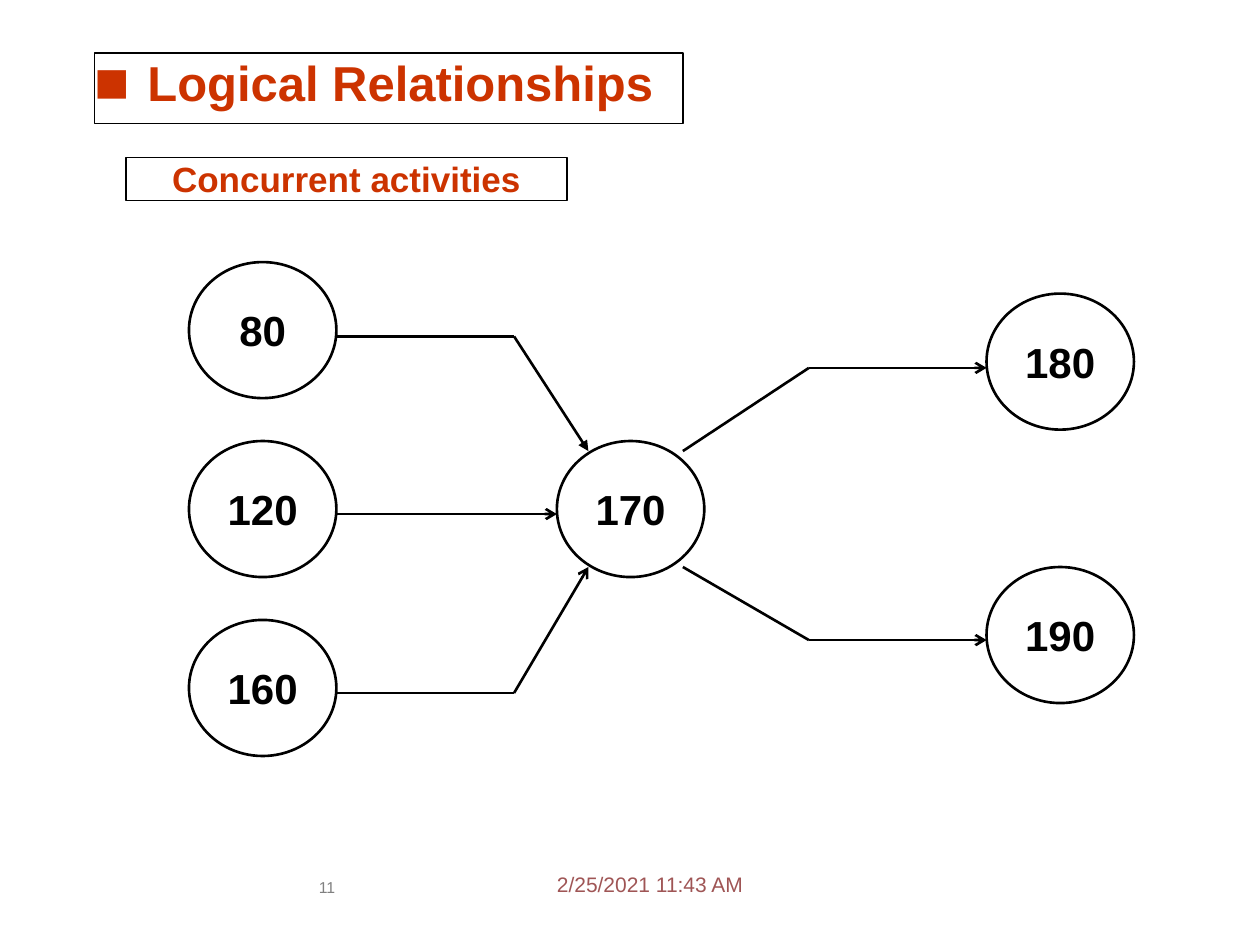
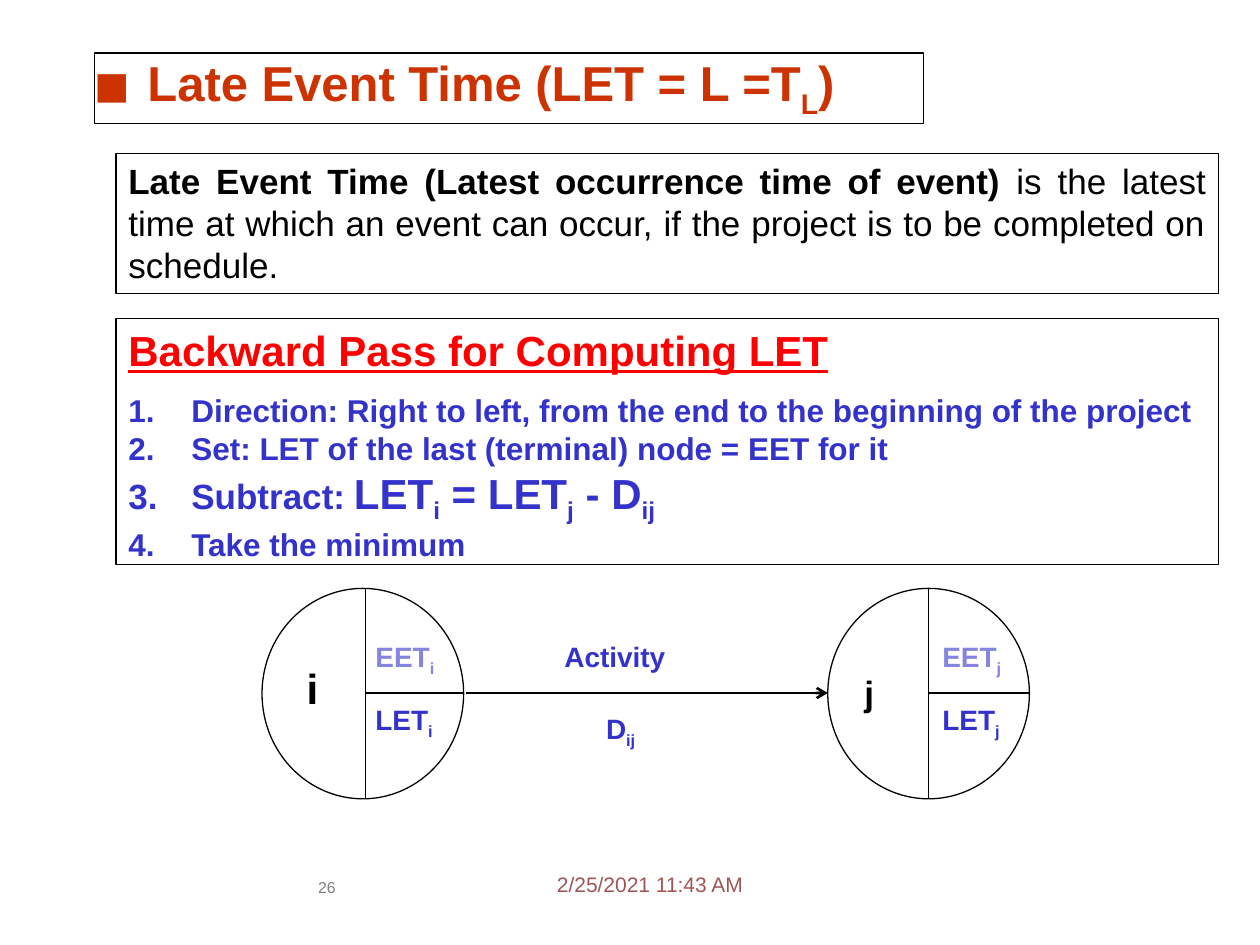
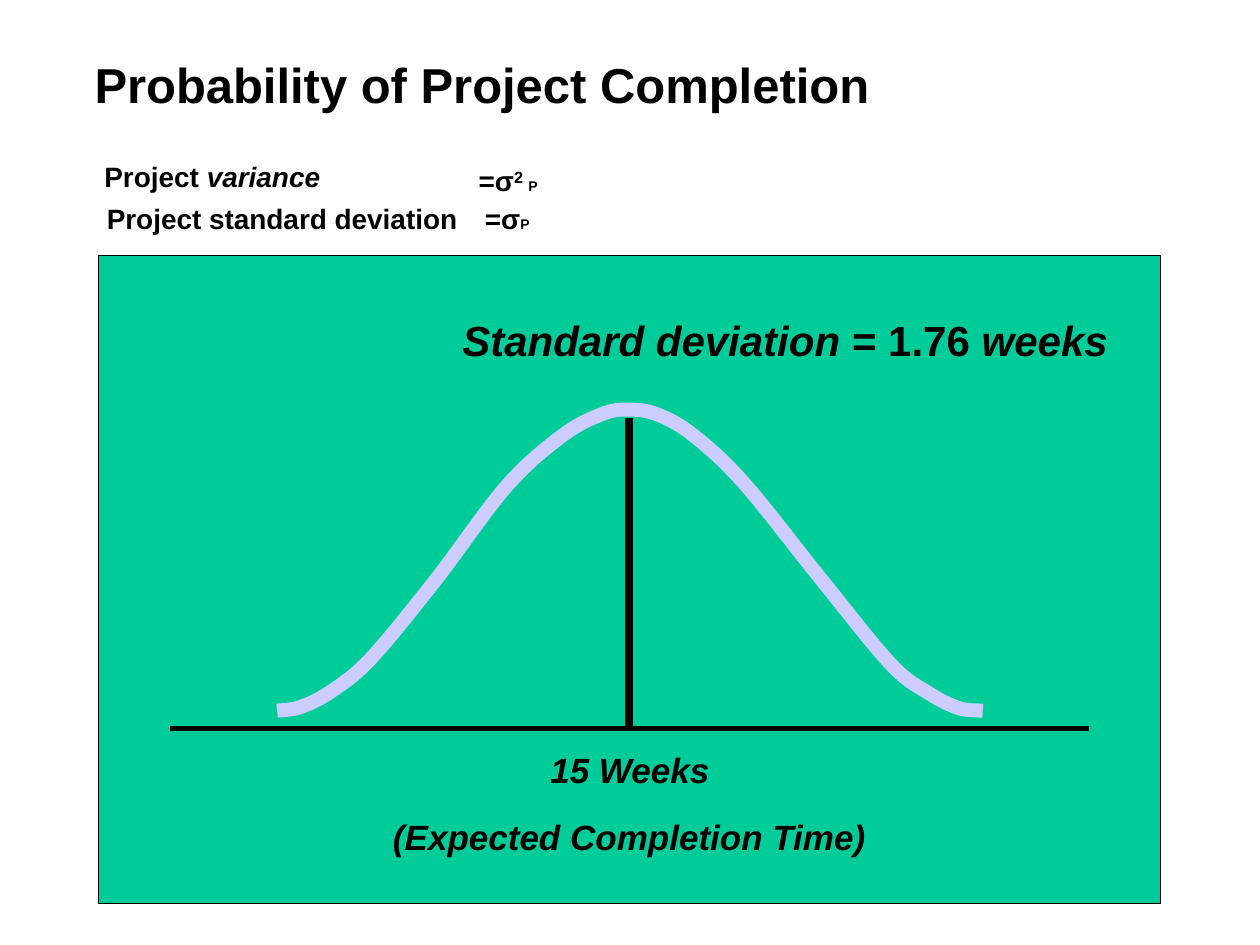
from lxml.etree import SubElement
from pptx import Presentation
from pptx.dml.color import RGBColor
from pptx.enum.shapes import MSO_CONNECTOR as Connector, MSO_SHAPE as Shape
from pptx.enum.text import MSO_ANCHOR as Anchor, MSO_AUTO_SIZE as AutoSize, PP_ALIGN as Align
from pptx.oxml.ns import qn
from pptx.util import Inches, Pt

BLACK = RGBColor(0x00, 0x00, 0x00)
WHITE = RGBColor(0xFF, 0xFF, 0xFF)
RUST = RGBColor(0xCC, 0x33, 0x00)
RED = RGBColor(0xFF, 0x00, 0x00)
BLUE = RGBColor(0x33, 0x33, 0xCC)
PALE_BLUE = RGBColor(0x85, 0x85, 0xE0)
GREEN = RGBColor(0x00, 0xCC, 0x99)
LAVENDER = RGBColor(0xCC, 0xCC, 0xFF)
DATE_RED = RGBColor(0x9F, 0x55, 0x55)
GREY = RGBColor(0x80, 0x80, 0x80)

FONT = "Arial"
TITLE_ONLY = 5
SUB = {"baseline": -25}
LABEL_FORMAT = {"space_before": Pt(2)}


# Text
def set_all(target, values):
    for name, value in values.items():
        setattr(target, name, value)


def write(paragraph, runs, size, color=BLACK, bold=True, layout=None, **font):
    """Fill a paragraph with (text, overrides) runs that share a base format."""
    set_all(paragraph, layout or {})
    for text, changes in runs:
        values = {"name": FONT, "size": size, "bold": bold, **font, **changes}
        baseline = values.pop("baseline", None)
        run = paragraph.add_run()
        run.text = text
        values["size"] = Pt(values["size"])
        set_all(run.font, values)
        run.font.color.rgb = color
        if baseline:
            run._r.get_or_add_rPr().set("baseline", str(baseline * 1000))


def set_frame(shape, inset=True, wrap=True, anchor=Anchor.TOP):
    frame = shape.text_frame
    set_all(frame, {"word_wrap": wrap, "vertical_anchor": anchor,
                    "auto_size": AutoSize.NONE})
    if not inset:
        set_all(frame, dict.fromkeys(
            ("margin_left", "margin_top", "margin_right", "margin_bottom"), 0))
    return frame


def add_bullet(paragraph, indent, children):
    properties = paragraph._p.get_or_add_pPr()
    properties.set("marL", str(Inches(indent)))
    properties.set("indent", str(-Inches(indent)))
    for tag, attribute, value in children:
        SubElement(properties, qn(tag)).set(attribute, value)


def add_note(slide, box, runs, size, align=Align.RIGHT, inset=True, wrap=False,
             layout=None, **font):
    note = slide.shapes.add_textbox(*map(Inches, box))
    paragraph = set_frame(note, inset, wrap).paragraphs[0]
    write(paragraph, runs, size, layout={"alignment": align, **(layout or {})}, **font)


# Shapes and lines
def add_block(slide, kind, box, fill=WHITE, line=0.75):
    block = slide.shapes.add_shape(kind, *map(Inches, box))
    block.shadow.inherit = False
    block.fill.solid()
    block.fill.fore_color.rgb = fill
    if line:
        block.line.color.rgb = BLACK
        block.line.width = Pt(line)
    else:
        block.line.fill.background()
    return block


def add_label(slide, box, runs, size, color=BLACK, align=Align.JUSTIFY, line=0):
    label = add_block(slide, Shape.RECTANGLE, box, line=line)
    write(set_frame(label, inset=False).paragraphs[0], runs, size, color,
          layout={"alignment": align, **LABEL_FORMAT})


def add_route(slide, points, width=0.75, arrow=None):
    """Join the points with straight lines; an arrowhead ends the last one."""
    for start, end in zip(points, points[1:]):
        leg = slide.shapes.add_connector(
            Connector.STRAIGHT, *map(Inches, (*start, *end)))
        leg.line.color.rgb = BLACK
        leg.line.width = Pt(width)
        if arrow and end == points[-1]:
            SubElement(leg.line._get_or_add_ln(), qn("a:tailEnd")).set("type", arrow)
        SubElement(leg._element.spPr, qn("a:effectLst"))


def add_outline(slide, points, close):
    corners = [(Inches(x), Inches(y)) for x, y in points]
    builder = slide.shapes.build_freeform(*corners[0], scale=1.0)
    builder.add_line_segments(corners[1:], close=close)
    outline = builder.convert_to_shape()
    outline.shadow.inherit = False
    return outline


def bend(outline):
    """Turn the straight segments into curves through the same points."""
    segments = list(outline._element.iter(qn("a:lnTo")))
    points = [(int(point.get("x")), int(point.get("y")))
              for tag in ("a:moveTo", "a:lnTo")
              for move in outline._element.iter(qn(tag)) for point in move]
    padded = [points[0], *points, points[-1]]
    for segment, before, start, end, after in zip(
            segments, padded, padded[1:], padded[2:], padded[3:]):
        first = [s + (e - b) / 6 for b, s, e in zip(before, start, end)]
        second = [e - (a - s) / 6 for s, e, a in zip(start, end, after)]
        curve = SubElement(segment.getparent(), qn("a:cubicBezTo"))
        for x, y in (first, second, end):
            point = SubElement(curve, qn("a:pt"))
            point.set("x", str(round(x)))
            point.set("y", str(round(y)))
        segment.getparent().remove(segment)


# Parts shared by the slides
def add_slide(deck, title_runs, box, color=BLACK, framed=True):
    slide = deck.slides.add_slide(deck.slide_layouts[TITLE_ONLY])
    title = slide.shapes.title
    set_all(title, dict(zip(("left", "top", "width", "height"), map(Inches, box))))
    paragraph = set_frame(title, inset=False).paragraphs[0]
    write(paragraph, title_runs, 28, color,
          layout={"alignment": Align.LEFT, "space_before": Pt(3)})
    if framed:
        title.fill.solid()
        title.fill.fore_color.rgb = WHITE
        title.line.color.rgb = BLACK
        title.line.width = Pt(0.75)
        bullet = SubElement(paragraph._p.get_or_add_pPr(), qn("a:buClr"))
        SubElement(bullet, qn("a:srgbClr")).set("val", str(color))
        add_bullet(paragraph, 0.42, [("a:buSzPct", "val", "120000"),
                                     ("a:buFont", "typeface", FONT),
                                     ("a:buChar", "char", "■")])
    return slide


def add_footer(slide, number):
    add_note(slide, (4.42, 6.92, 1.67, 0.25), [("2/25/2021 11:43 AM", {})], 12,
             Align.LEFT, inset=False, color=DATE_RED, bold=False)
    add_note(slide, (2.4, 6.97, 0.39, 0.34), [(number, {})], 9,
             Align.CENTER, inset=False, wrap=True, color=GREY, bold=False)


# Slide 1: network of concurrent activities
def build_relationships(deck):
    slide = add_slide(deck, [("Logical Relationships", {})],
                      (0.75, 0.42, 4.67, 0.56), RUST)
    add_footer(slide, "11")
    add_label(slide, (1, 1.25, 3.5, 0.34), [("Concurrent activities", {})], 20,
              RUST, Align.CENTER, line=0.75)

    nodes = {"80": (1.5, 2.08), "120": (1.5, 3.5), "160": (1.5, 4.92),
             "170": (4.42, 3.5), "180": (7.83, 2.33), "190": (7.83, 4.5)}
    for number, (left, top) in nodes.items():
        node = add_block(slide, Shape.OVAL, (left, top, 1.17, 1.08), line=1.5)
        frame = set_frame(node, inset=False, wrap=False, anchor=Anchor.MIDDLE)
        write(frame.paragraphs[0], [(number, {})], 24,
              layout={"alignment": Align.CENTER})

    routes = [
        ([(2.67, 2.67), (4.08, 2.67), (4.67, 3.58)], "triangle"),
        ([(2.67, 4.08), (4.42, 4.08)], "arrow"),
        ([(2.67, 5.5), (4.08, 5.5), (4.67, 4.5)], "arrow"),
        ([(5.42, 3.58), (6.42, 2.92), (7.83, 2.92)], "arrow"),
        ([(5.42, 4.5), (6.42, 5.08), (7.83, 5.08)], "arrow"),
    ]
    for points, arrow in routes:
        add_route(slide, points, 1.5, arrow)


# Slide 2: late event time
def add_event(slide, left, center, name, name_box, name_size, time_left, time_width):
    """Draw an event circle split into its name, EET and LET."""
    top, middle, bottom = 4.67, 5.5, 6.33
    add_block(slide, Shape.OVAL, (left, top, 1.6, 1.67))
    add_route(slide, [(center, top), (center, bottom)])
    add_route(slide, [(center, middle), (left + 1.6, middle)])
    add_label(slide, name_box, [(name, {})], name_size, align=Align.CENTER)
    for time, time_top, color in (("EET", 5.08, PALE_BLUE), ("LET", 5.58, BLUE)):
        add_label(slide, (time_left, time_top, time_width, 0.27),
                  [(time, {}), (name, SUB)], 16, color)


def build_late_event(deck):
    slide = add_slide(deck, [("Late Event Time (LET = L =T", {}), ("L", SUB), (")", {})],
                      (0.75, 0.42, 6.58, 0.56), RUST)
    add_footer(slide, "26")

    definition = add_block(slide, Shape.RECTANGLE, (0.92, 1.22, 8.75, 1.11))
    write(set_frame(definition).paragraphs[0],
          [("Late Event Time (Latest occurrence time of event)", {"bold": True}),
           (" is the latest time at which an event can occur, if the project is to be "
            "completed on schedule.", {})],
          20, bold=False, layout={"alignment": Align.JUSTIFY, "space_before": Pt(0.5)})

    # Numbered steps of the backward pass
    backward_pass = add_block(slide, Shape.RECTANGLE, (0.92, 2.53, 8.75, 1.95))
    frame = set_frame(backward_pass)
    write(frame.paragraphs[0], [("Backward Pass for Computing LET", {})], 24, RED,
          underline=True, layout={"alignment": Align.JUSTIFY, "space_before": Pt(0.5),
                                  "space_after": Pt(9.2)})
    big, small = {"size": 24}, {"size": 24, **SUB}
    steps = [
        [("Direction: Right to left, from the end to the beginning of the project", {})],
        [("Set: LET of the last (terminal) node = EET for it", {})],
        [("Subtract:", {"size": 20}), (" ", {}), ("LET", big),
         ("i", {**small, "baseline": -26}),
         (" = LET", big), ("j", small), (" - D", big), ("ij", small)],
        [("Take the minimum", {})],
    ]
    for runs in steps:
        step = frame.add_paragraph()
        write(step, runs, 18, BLUE, layout={"alignment": Align.JUSTIFY})
        add_bullet(step, 0.5, [("a:buFont", "typeface", FONT),
                               ("a:buAutoNum", "type", "arabicPeriod")])

    # Activity from event i to event j
    add_event(slide, 2.08, 2.9, "i", (2.23, 5.26, 0.5, 0.4), 24, 2.98, 0.58)
    add_event(slide, 6.57, 7.37, "j", (6.65, 5.33, 0.5, 0.34), 20, 7.48, 0.5)
    add_label(slide, (4.48, 5.08, 0.92, 0.27), [("Activity", {})], 16, BLUE)
    add_label(slide, (4.81, 5.65, 0.42, 0.27), [("D", {}), ("ij", SUB)], 16, BLUE)
    add_route(slide, [(3.7, 5.5), (6.57, 5.5)], 1.5, "arrow")


# Slide 3: distribution of the completion time
def build_probability(deck):
    slide = add_slide(deck, [("Probability of Project Completion", {})],
                      (0.75, 0.43, 8.5, 1.43), framed=False)
    add_block(slide, Shape.RECTANGLE, (0.78, 2.03, 8.43, 5.14), GREEN)

    # Bell curve over its area
    area = add_outline(slide, [
        (2.21, 5.63), (2.37, 5.61), (2.65, 5.48), (3.02, 5.14), (3.51, 4.54),
        (3.96, 3.9), (4.32, 3.56), (4.71, 3.32), (4.99, 3.24), (5.37, 3.34),
        (5.81, 3.7), (6.12, 4.1), (6.5, 4.59), (6.98, 5.19), (7.25, 5.43),
        (7.5, 5.57), (7.65, 5.62), (7.8, 5.63), (7.79, 5.75), (2.18, 5.75)], close=True)
    area.fill.solid()
    area.fill.fore_color.rgb = GREEN
    area.line.fill.background()
    bell = add_outline(slide, [
        (2.2, 5.64), (2.39, 5.61), (2.64, 5.48), (2.95, 5.22), (3.46, 4.6),
        (4.02, 3.86), (4.46, 3.46), (4.77, 3.29), (4.98, 3.25), (5.22, 3.29),
        (5.51, 3.46), (5.91, 3.84), (6.52, 4.6), (7.07, 5.27), (7.37, 5.5),
        (7.61, 5.62), (7.8, 5.64)], close=False)
    bend(bell)
    bell.fill.background()
    bell.line.color.rgb = LAVENDER
    bell.line.width = Pt(8)
    add_route(slide, [(4.99, 3.32), (4.99, 5.76)], 4.5)
    add_route(slide, [(1.35, 5.78), (8.64, 5.78)], 3)

    add_note(slide, (3.57, 2.45, 5.32, 0.5),
             [("Standard deviation", {}), (" = 1.76 ", {"italic": False}), ("weeks", {})],
             24, italic=True)
    for text, box in (("15 Weeks", (4.26, 5.89, 1.47, 0.43)),
                      ("(Expected Completion Time)", (3.02, 6.42, 3.95, 0.43))):
        add_note(slide, box, [(text, {})], 20, italic=True)

    # Variance and standard deviation with their symbols
    tight = {"line_spacing": 0.9, "space_before": Pt(1)}
    add_note(slide, (0.7, 1.25, 1.94, 0.34),
             [("Project", {}), (" variance", {"italic": True})], 16, layout=tight)
    add_note(slide, (0.71, 1.58, 3.02, 0.34),
             [("Project standard deviation", {})], 16, layout=tight)
    add_note(slide, (3.7, 1.25, 1.21, 0.37),
             [("=σ", {}), ("2", {"baseline": 30}), (" ", {"size": 11}), ("P", {"size": 8})],
             16, Align.LEFT, wrap=True)
    add_note(slide, (3.75, 1.55, 1.21, 0.37), [("=σ", {}), ("P", {"size": 8})],
             16, Align.LEFT, wrap=True)


def main():
    deck = Presentation()
    deck.slide_width, deck.slide_height = Inches(10), Inches(7.5)
    build_relationships(deck)
    build_late_event(deck)
    build_probability(deck)
    deck.save("out.pptx")


if __name__ == "__main__":
    main()
